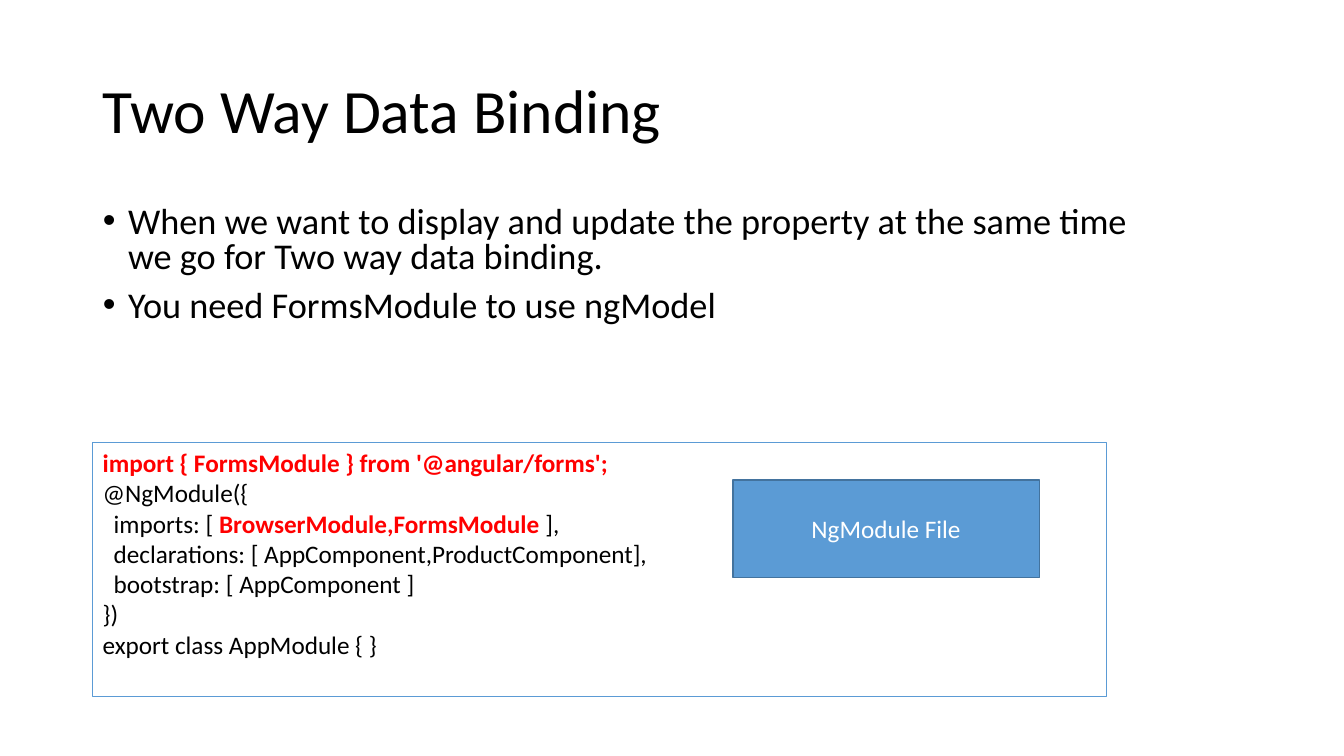
from lxml import etree
from pptx import Presentation
from pptx import util as u
from pptx.dml.color import RGBColor
from pptx.enum import shapes, text
from pptx.oxml.ns import qn

COLORS = {"ink": "000000", "paper": "FFFFFF", "accent": "5B9BD5",
          "edge": "43739E", "alert": "FF0000"}
LEFT = 6.9  # shared left edge, percent of the slide width


class SlideBuilder:
    """Holds the style and the slide; boxes are percentages of the slide size."""
    font = "Calibri"

    def __init__(self, presentation):
        self.width, self.height = presentation.slide_width, presentation.slide_height
        self.slide = presentation.slides.add_slide(presentation.slide_layouts[1])

    def color(self, name):
        return RGBColor.from_string(COLORS[name])

    def box(self, left, top, width, height):
        return [round(share * side / 100) for share, side in
                zip((left, top, width, height), (self.width, self.height) * 2)]

    def place(self, shape, box):
        shape.left, shape.top, shape.width, shape.height = self.box(*box)

    def add_lines(self, shape, lines, size, anchor=text.MSO_ANCHOR.TOP,
                  align=text.PP_ALIGN.LEFT, spacing=1, before=0):
        """Each line is a list of (text, color, bold) runs."""
        frame = shape.text_frame
        frame.word_wrap = True
        frame.auto_size = text.MSO_AUTO_SIZE.NONE
        frame.vertical_anchor = anchor
        for index, runs in enumerate(lines):
            paragraph = frame.add_paragraph() if index else frame.paragraphs[0]
            paragraph.alignment = align
            paragraph.line_spacing = spacing
            paragraph.space_before = u.Pt(before)
            for words, color, bold in runs:
                run = paragraph.add_run()
                run.text = words
                run.font.name, run.font.size, run.font.bold = self.font, u.Pt(size), bold
                run.font.color.rgb = self.color(color)
        return frame.paragraphs

    def indent(self, paragraph, margin, first=0):
        properties = paragraph._p.get_or_add_pPr()
        properties.set("marL", str(u.Inches(margin)))
        properties.set("indent", str(u.Inches(first)))
        return properties

    def title(self, words, box):
        shape = self.slide.shapes.title
        self.place(shape, box)
        self.add_lines(shape, [[(words, "ink", False)]], 44,
                       text.MSO_ANCHOR.MIDDLE, spacing=0.9)

    def bullets(self, items, box):
        shape = self.slide.placeholders[1]
        self.place(shape, box)
        lines = [[(item, "ink", False)] for item in items]
        for paragraph in self.add_lines(shape, lines, 25.9, spacing=0.8, before=10):
            properties = self.indent(paragraph, 0.25, -0.25)
            etree.SubElement(properties, qn("a:buFont")).set("typeface", "Arial")
            etree.SubElement(properties, qn("a:buChar")).set("char", "•")

    def panel(self, box, fill, line):
        shape = self.slide.shapes.add_shape(shapes.MSO_SHAPE.RECTANGLE, *self.box(*box))
        shape.shadow.inherit = False
        shape.fill.solid()
        shape.fill.fore_color.rgb = self.color(fill)
        shape.line.color.rgb = self.color(line)
        shape.line.width = u.Pt(1)
        return shape

    def code(self, lines, box):
        """Each line is (indent level, runs)."""
        shape = self.panel(box, "paper", "accent")
        paragraphs = self.add_lines(shape, [runs for _, runs in lines], 18)
        for paragraph, (level, _) in zip(paragraphs, lines):
            self.indent(paragraph, 0.11 * level)

    def label(self, words, box):
        shape = self.panel(box, "accent", "edge")
        self.add_lines(shape, [[(words, "paper", False)]], 18,
                       text.MSO_ANCHOR.MIDDLE, text.PP_ALIGN.CENTER)


def plain(words):
    return words, "ink", False


def strong(words):
    return words, "alert", True


presentation = Presentation()
presentation.slide_width, presentation.slide_height = u.Inches(13.33), u.Inches(7.5)
builder = SlideBuilder(presentation)

# Heading and explanation
builder.title("Two Way Data Binding", (LEFT, 5.33, 86.25, 19.33))
builder.bullets([
    "When we want to display and update the property at the same time "
    "we go for Two way data binding.",
    "You need FormsModule to use ngModel",
], (LEFT, 26.67, 81.3, 18.13))

# Module code with its label
builder.code([
    (0, [strong("import { FormsModule } from '@angular/forms';")]),
    (0, [plain("@NgModule({")]),
    (1, [plain("imports: [ "), strong("BrowserModule,FormsModule "), plain("],")]),
    (1, [plain("declarations: [ AppComponent,ProductComponent],")]),
    (1, [plain("bootstrap: [ AppComponent ]")]),
    (0, [plain("})")]),
    (0, [plain("export class AppModule { }")]),
], (LEFT, 58.53, 75.45, 33.6))
builder.label("NgModule File", (54.53, 63.47, 22.8, 12.93))

presentation.save("out.pptx")
